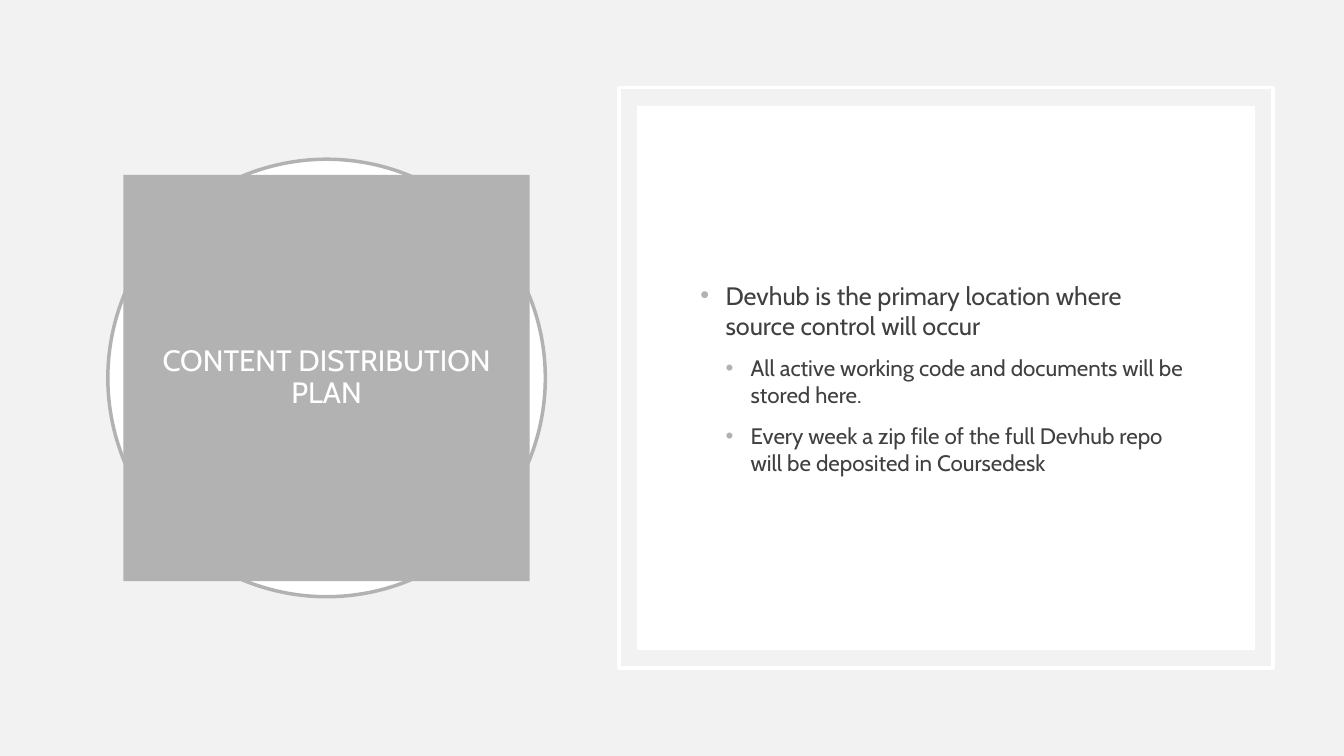
from dataclasses import dataclass

from lxml.etree import SubElement
from pptx import Presentation
from pptx.dml.color import RGBColor as RGB
from pptx.enum.shapes import MSO_SHAPE as Kind
from pptx.enum.text import MSO_ANCHOR as Anchor, PP_ALIGN as Align
from pptx.oxml.ns import qn
from pptx.util import Pt


@dataclass
class Theme:
    back: str = "F2F2F2"
    grey: str = "B2B2B2"
    white: str = "FFFFFF"
    ink: str = "404040"
    font: str = "Cabin"
    title: int = 21
    body: tuple = (18, 16)
    line: float = 2.5


theme = Theme()
deck = Presentation()
deck.slide_width, deck.slide_height = Pt(960), Pt(540)
slide = deck.slides.add_slide(deck.slide_layouts[6])
slide.background.fill.solid()
slide.background.fill.fore_color.rgb = RGB.from_string(theme.back)


def center(mid, width, height):
    """Return left, top, width and height of a box centred on the slide's midline."""
    return Pt(mid - width / 2), Pt(270 - height / 2), Pt(width), Pt(height)


def style(run, size, color):
    look = {"name": theme.font, "size": Pt(size)}
    for key, value in look.items():
        setattr(run.font, key, value)
    run.font.color.rgb = RGB.from_string(color)


left, right = 233.3, 675.8
forms = [
    (Kind.OVAL, left, 312.5, 312.5, theme.white, theme.grey),
    (Kind.RECTANGLE, left, 290.2, 290.2, theme.grey, None),
    (Kind.RECTANGLE, right, 467.3, 414.7, None, theme.white),
    (Kind.RECTANGLE, right, 441.4, 388.8, theme.white, None),
]
shapes = []
for kind, mid, width, height, fill, line in forms:
    shape = slide.shapes.add_shape(kind, *center(mid, width, height))
    shape.shadow.inherit = False
    for part, color in ((shape.fill, fill), (shape.line.fill, line)):
        if color:
            part.solid()
            part.fore_color.rgb = RGB.from_string(color)
        else:
            part.background()
    if line:
        shape.line.width = Pt(theme.line)
    shapes.append(shape)

# Title
frame = shapes[1].text_frame
frame.word_wrap = True
frame.vertical_anchor = Anchor.MIDDLE
for side in ("left", "top", "right", "bottom"):
    setattr(frame, f"margin_{side}", Pt(14.4))
para = frame.paragraphs[0]
para.alignment = Align.CENTER
para.line_spacing = 0.9
run = para.add_run()
run.text = "CONTENT DISTRIBUTION PLAN"
style(run, theme.title, theme.white)

# Bullets
points = [
    (0, "Devhub is the primary location where source control will occur"),
    (1, "All active working code and documents will be stored here."),
    (1, "Every week a zip file of the full Devhub repo will be deposited in Coursedesk"),
]
frame = slide.shapes.add_textbox(*center(676.4, 366.5, 312.5)).text_frame
frame.word_wrap = True
frame.vertical_anchor = Anchor.MIDDLE
for row, (level, text) in enumerate(points):
    para = frame.add_paragraph() if row else frame.paragraphs[0]
    para.level = level
    para.space_before = Pt(10 * level)
    run = para.add_run()
    run.text = text
    style(run, theme.body[level], theme.ink)
    props = para._p.get_or_add_pPr()
    props.set("marL", str(Pt(18 * (level + 1))))
    props.set("indent", str(Pt(-18)))
    tint = SubElement(props, qn("a:buClr"))
    SubElement(tint, qn("a:srgbClr"), val=theme.grey)
    SubElement(props, qn("a:buFont"), typeface="Arial")
    SubElement(props, qn("a:buChar"), char="•")

deck.save("out.pptx")
